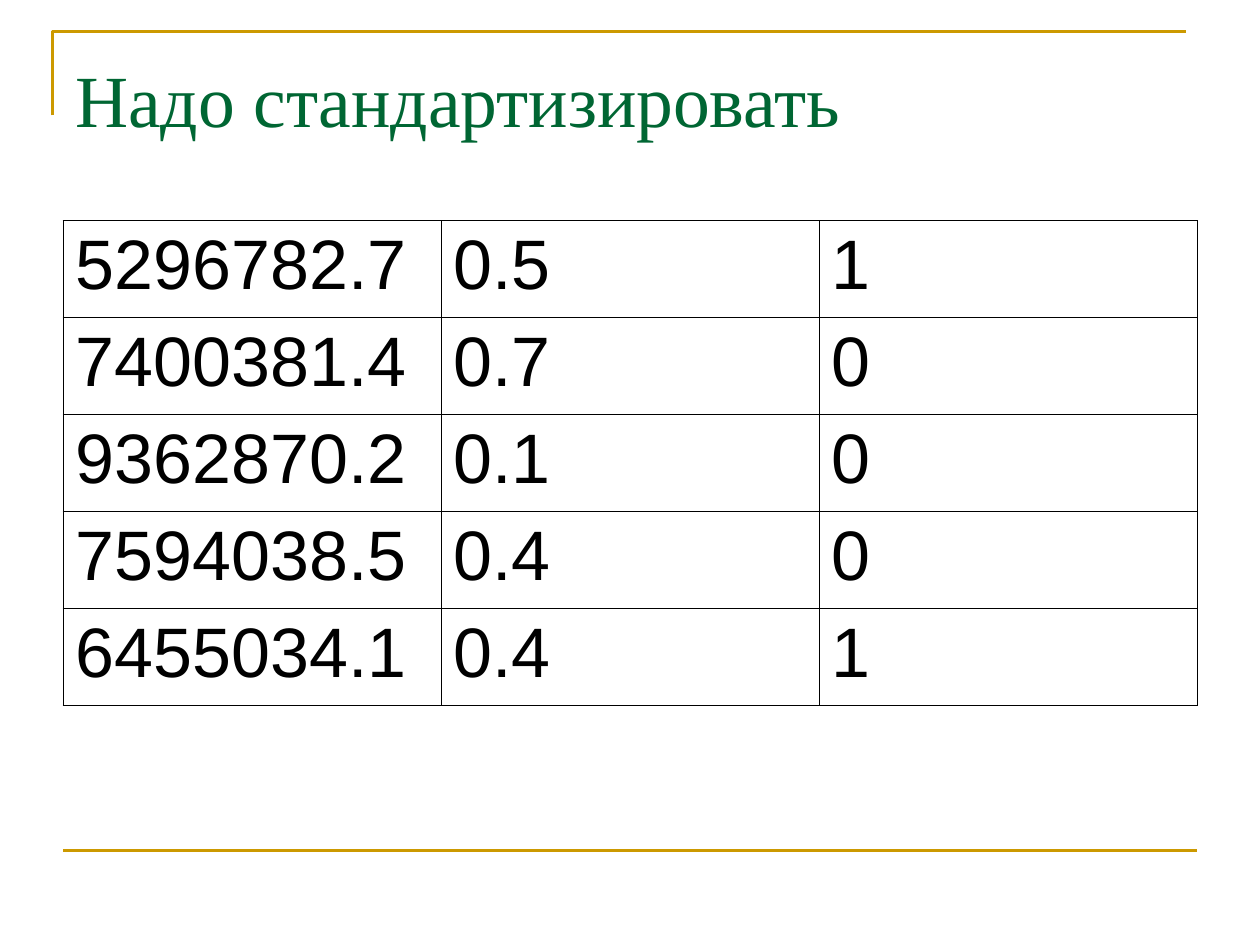
from lxml.etree import SubElement
from pptx import Presentation
from pptx.dml.color import RGBColor
from pptx.enum.shapes import MSO_CONNECTOR
from pptx.enum.text import MSO_ANCHOR
from pptx.oxml.ns import qn
from pptx.util import Pt

GOLD = RGBColor(0xCC, 0x99, 0x00)
GREEN = RGBColor(0x00, 0x66, 0x33)
BLACK = RGBColor(0x00, 0x00, 0x00)


def add_run(p, text, font, size, color):
    r = p.add_run()
    r.text = text
    r.font.name = font
    r.font.size = Pt(size)
    r.font.color.rgb = color


def add_borders(cell):
    tcPr = cell._tc.get_or_add_tcPr()
    for side in ("a:lnL", "a:lnR", "a:lnT", "a:lnB"):
        ln = SubElement(tcPr, qn(side), w=str(Pt(0.57)))
        fill = SubElement(ln, qn("a:solidFill"))
        SubElement(fill, qn("a:srgbClr"), val=str(BLACK))


prs = Presentation()
prs.slide_width = Pt(720)
prs.slide_height = Pt(540)
s = prs.slides.add_slide(prs.slide_layouts[6])

fb = s.shapes.build_freeform(Pt(30), Pt(66), scale=1.0)
fb.add_line_segments([(Pt(30), Pt(18)), (Pt(678), Pt(18))], close=False)
corner = fb.convert_to_shape()
corner.shadow.inherit = False
corner.fill.background()

rule = s.shapes.add_connector(MSO_CONNECTOR.STRAIGHT, Pt(36), Pt(486), Pt(684), Pt(486))
SubElement(rule._element.spPr, qn("a:effectLst"))

for sp in (corner, rule):
    sp.line.color.rgb = GOLD
    sp.line.width = Pt(1.5)

title = s.shapes.add_textbox(Pt(36), Pt(21.6), Pt(648), Pt(90))
tf = title.text_frame
tf.word_wrap = True
tf.vertical_anchor = MSO_ANCHOR.TOP
tf.margin_top = Pt(9)
add_run(tf.paragraphs[0], "Надо стандартизировать", "Times New Roman", 42, GREEN)

rows = [
    ("5296782.7", "0.5", "1"),
    ("7400381.4", "0.7", "0"),
    ("9362870.2", "0.1", "0"),
    ("7594038.5", "0.4", "0"),
    ("6455034.1", "0.4", "1"),
]
table = s.shapes.add_table(5, 3, Pt(36), Pt(126), Pt(648), Pt(277.2)).table
table.first_row = False
table.horz_banding = False
for i, values in enumerate(rows):
    for j, value in enumerate(values):
        cell = table.cell(i, j)
        add_borders(cell)
        cell.fill.background()
        add_run(cell.text_frame.paragraphs[0], value, "Arial", 40, BLACK)

prs.save("out.pptx")
